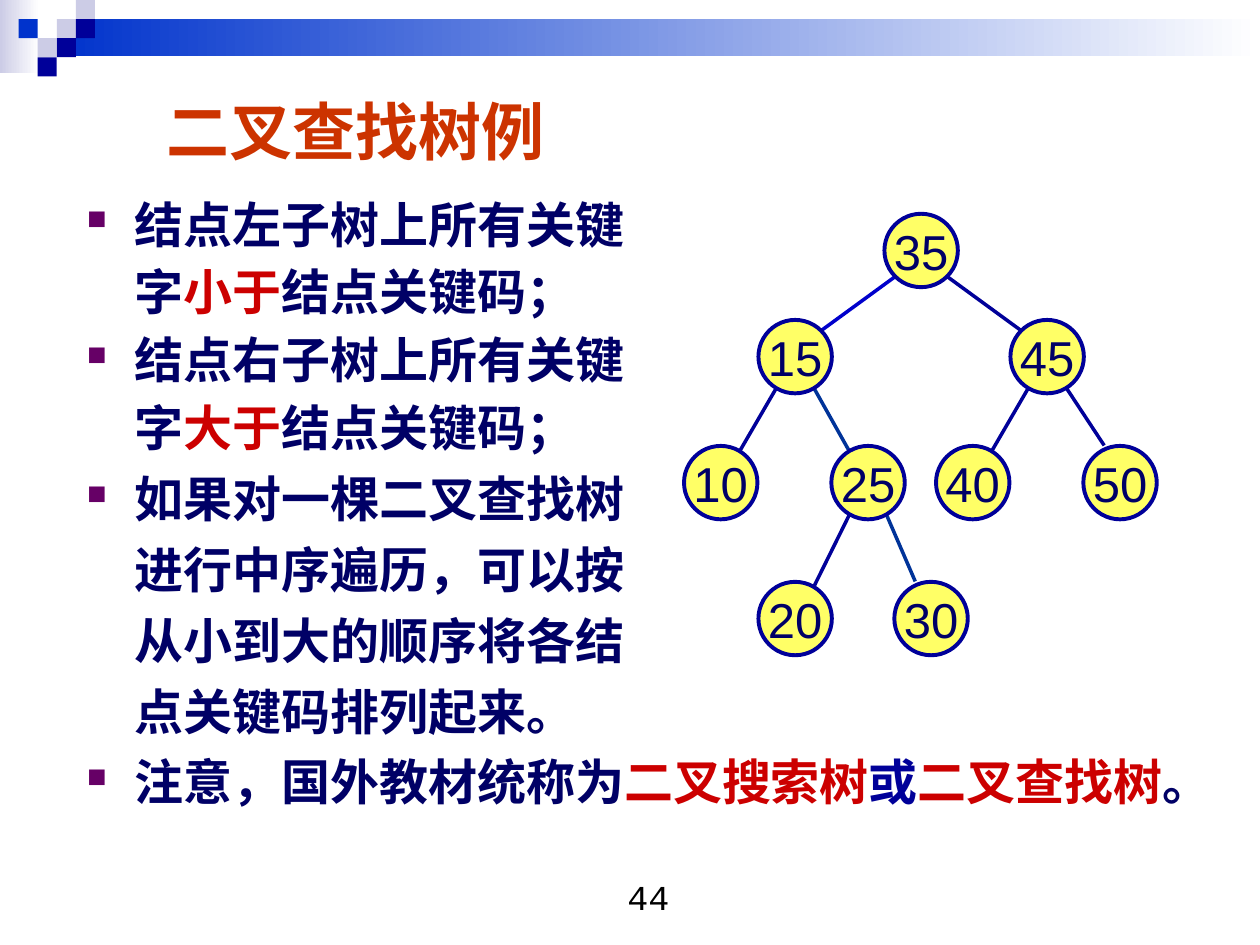
from lxml import etree
from pptx import Presentation
from pptx.dml.color import RGBColor
from pptx.enum.shapes import MSO_CONNECTOR, MSO_SHAPE
from pptx.enum.text import MSO_ANCHOR, MSO_AUTO_SIZE, PP_ALIGN
from pptx.oxml.ns import qn
from pptx.util import Cm, Pt

WHITE = RGBColor(0xFF, 0xFF, 0xFF)
BLACK = RGBColor(0x00, 0x00, 0x00)
LAVENDER = RGBColor(0xCC, 0xCC, 0xE6)
ROYAL = RGBColor(0x00, 0x33, 0xCC)
NAVY = RGBColor(0x00, 0x00, 0x99)
TEAL = RGBColor(0x00, 0x33, 0x99)
BLUE = RGBColor(0x00, 0x00, 0xCC)
INK = RGBColor(0x00, 0x00, 0x66)
RED = RGBColor(0xCC, 0x00, 0x00)
ORANGE = RGBColor(0xCC, 0x33, 0x00)
YELLOW = RGBColor(0xFF, 0xFF, 0x66)
PURPLE = RGBColor(0x66, 0x00, 0x66)

TILE = 0.385
# column, row, colour on the tile grid
TILES = [(3, 1, LAVENDER), (4, 0, LAVENDER), (4, 1, NAVY), (2, 2, LAVENDER),
         (1, 1, ROYAL), (3, 2, NAVY), (2, 3, NAVY)]

NODE_SIZE = 1.48
# key: centre of the node in cm
NODES = {35: (18.57, 5.05), 15: (16.03, 7.19), 45: (21.11, 7.19),
         50: (22.58, 9.73), 40: (19.61, 9.73), 25: (17.5, 9.73),
         10: (14.53, 9.73), 20: (16.03, 12.47), 30: (18.77, 12.47)}
# parent, child, sideways offset, height above the child's centre, colour
EDGES = [(45, 40, 0.32, 0.53, NAVY), (25, 30, 0.32, 0.75, TEAL),
         (25, 20, 0.32, 0.53, NAVY), (15, 10, 0.32, 0.53, NAVY),
         (15, 25, 0.32, 0.53, TEAL), (35, 15, 0.53, 0.53, BLUE),
         (35, 45, 0.53, 0.53, NAVY), (45, 50, 0.32, 0.75, NAVY)]

# bulleted, space before in points, coloured pieces
LINES = [
    (True, 0, [("结点左子树上所有关键", INK)]),
    (False, 3.5, [("字", INK), ("小于", RED), ("结点关键码；", INK)]),
    (True, 3.5, [("结点右子树上所有关键", INK)]),
    (False, 3.5, [("字", INK), ("大于", RED), ("结点关键码；", INK)]),
    (True, 5.2, [("如果对一棵二叉查找树", INK)]),
    (False, 5.2, [("进行中序遍历，可以按", INK)]),
    (False, 5.2, [("从小到大的顺序将各结", INK)]),
    (False, 5.2, [("点关键码排列起来。", INK)]),
    (True, 5.2, [("注意，国外教材统称为", INK), ("二叉搜索树", RED),
                 ("或", NAVY), ("二叉查找树", RED), ("。", INK)]),
]


def write(paragraph, text, size=28, font="Arial", color=INK, bold=False,
          align=PP_ALIGN.LEFT):
    paragraph.alignment = align
    run = paragraph.add_run()
    run.text = text
    run.font.size = Pt(size)
    run.font.name = font
    run.font.bold = bold
    run.font.color.rgb = color


def add_block(slide, left, top, width, height, color, fade=False):
    """Add a borderless rectangle, fading to white on the right if asked."""
    block = slide.shapes.add_shape(MSO_SHAPE.RECTANGLE, Cm(left), Cm(top),
                                   Cm(width), Cm(height))
    block.shadow.inherit = False
    block.line.fill.background()
    if fade:
        block.fill.gradient()
        block.fill.gradient_angle = 0
        for stop, stop_color in zip(block.fill.gradient_stops, (color, WHITE)):
            stop.color.rgb = stop_color
    else:
        block.fill.solid()
        block.fill.fore_color.rgb = color


def add_header(slide):
    add_block(slide, 0, 0, 0.79, 1.47, LAVENDER, fade=True)
    add_block(slide, 1.14, 0.38, 24.26, 0.76, ROYAL, fade=True)
    for column, row, color in TILES:
        add_block(slide, column * TILE - 0.01, row * TILE, TILE, TILE, color)


def add_edge(slide, parent, child, offset, rise, color):
    (start_x, start_y), (end_x, end_y) = NODES[parent], NODES[child]
    side = offset if end_x > start_x else -offset
    edge = slide.shapes.add_connector(
        MSO_CONNECTOR.STRAIGHT, Cm(start_x + side), Cm(start_y + 0.53),
        Cm(end_x - side), Cm(end_y - rise))
    edge.line.color.rgb = color
    edge.line.width = Pt(2)
    etree.SubElement(edge._element.spPr, qn("a:effectLst"))


def add_node(slide, key, x, y):
    node = slide.shapes.add_shape(
        MSO_SHAPE.OVAL, Cm(x - NODE_SIZE / 2), Cm(y - NODE_SIZE / 2),
        Cm(NODE_SIZE), Cm(NODE_SIZE))
    node.shadow.inherit = False
    node.fill.solid()
    node.fill.fore_color.rgb = YELLOW
    node.line.color.rgb = NAVY
    node.line.width = Pt(2.25)
    frame = node.text_frame
    frame.word_wrap = False
    frame.vertical_anchor = MSO_ANCHOR.MIDDLE
    write(frame.paragraphs[0], str(key), align=PP_ALIGN.CENTER)


def add_text_box(slide, left, top, width, height):
    box = slide.shapes.add_textbox(Cm(left), Cm(top), Cm(width), Cm(height))
    box.text_frame.word_wrap = True
    return box.text_frame


def hang(paragraph, bulleted):
    """Indent a paragraph, with a small square hanging before it if bulleted."""
    props = paragraph._p.get_or_add_pPr()
    props.set("marL", str(Cm(0.97)))
    props.set("indent", str(-Cm(0.97) if bulleted else 0))
    if bulleted:
        color = etree.SubElement(props, qn("a:buClr"))
        etree.SubElement(color, qn("a:srgbClr"), val=str(PURPLE))
        etree.SubElement(props, qn("a:buSzPct"), val="55000")
        etree.SubElement(props, qn("a:buChar"), char="■")
    else:
        etree.SubElement(props, qn("a:buNone"))


def add_explanation(slide):
    frame = add_text_box(slide, 1.5, 3.73, 22.91, 14)
    for index, (bulleted, space, pieces) in enumerate(LINES):
        paragraph = frame.add_paragraph() if index else frame.paragraphs[0]
        hang(paragraph, bulleted)
        paragraph.line_spacing = 1.05
        paragraph.space_before = Pt(space)
        for text, color in pieces:
            write(paragraph, text, color=color, bold=True)


def set_title(slide, text):
    title = slide.shapes.title
    title.left, title.top = Cm(3.1), Cm(1.73)
    title.width, title.height = Cm(9.86), Cm(1.78)
    frame = title.text_frame
    frame.auto_size = MSO_AUTO_SIZE.NONE
    frame.vertical_anchor = MSO_ANCHOR.MIDDLE
    write(frame.paragraphs[0], text, size=36, font="Times New Roman",
          color=ORANGE, bold=True)


def main():
    deck = Presentation()
    deck.slide_width, deck.slide_height = Cm(25.4), Cm(19.05)
    slide = deck.slides.add_slide(deck.slide_layouts[5])
    add_header(slide)
    for edge in EDGES:
        add_edge(slide, *edge)
    for key, (x, y) in NODES.items():
        add_node(slide, key, x, y)
    set_title(slide, "二叉查找树例")
    add_explanation(slide)
    page_number = add_text_box(slide, 10.11, 17.53, 5.92, 1.32)
    write(page_number.paragraphs[0], "44", size=20, font="Courier New",
          color=BLACK, align=PP_ALIGN.CENTER)
    deck.save("out.pptx")


if __name__ == "__main__":
    main()
